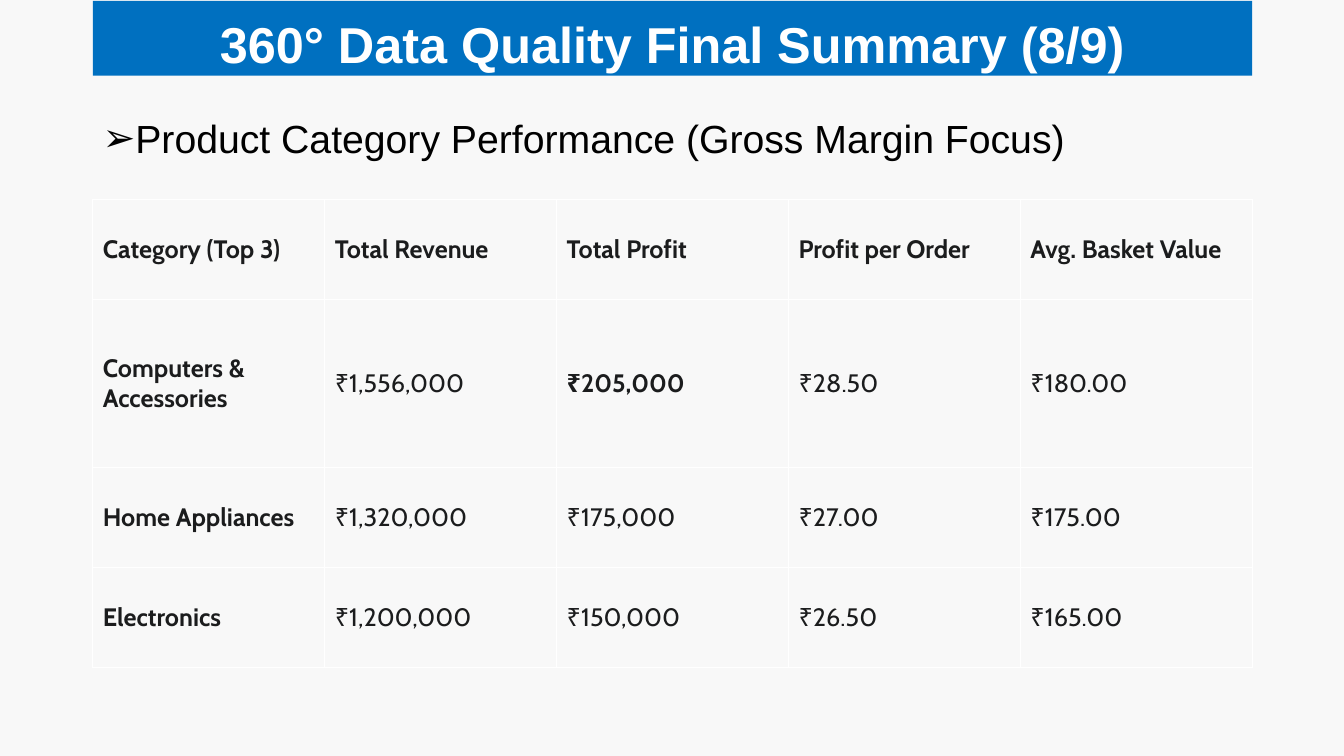
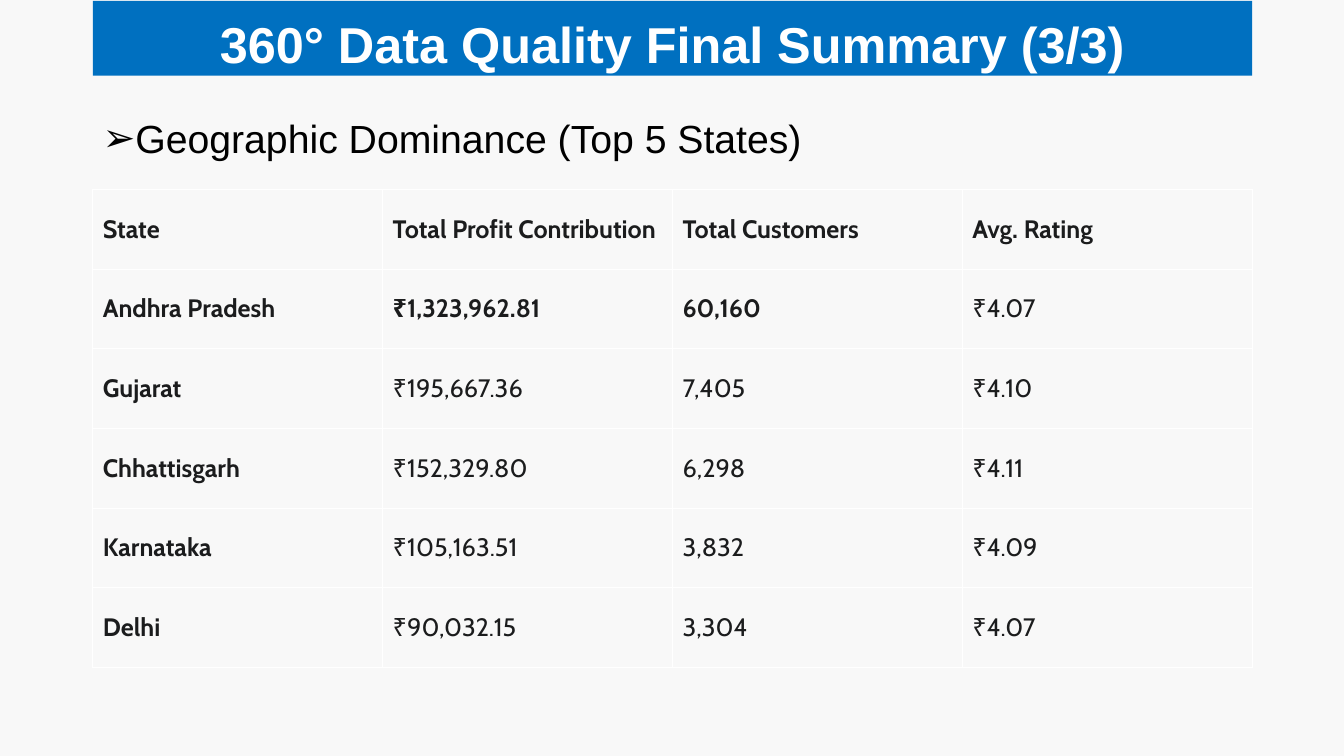
from pptx import Presentation
from pptx.dml.color import RGBColor
from pptx.enum.text import MSO_ANCHOR, MSO_AUTO_SIZE, PP_ALIGN
from pptx.oxml import parse_xml
from pptx.oxml.ns import nsdecls, qn
from pptx.util import Inches, Pt
from lxml import etree

PAPER, BLUE, WHITE, BLACK, INK = "F8F8F8", "0070C0", "FFFFFF", "000000", "1B1C1D"
LEFT, WIDTH = 0.92, 11.5

SLIDES = [
    {
        "title": "360° Data Quality Final Summary (8/9)",
        "point": "Product Category Performance (Gross Margin Focus)",
        "top": 1.98,
        "heights": [0.99, 1.67, 0.99, 0.99],
        "strong": {"₹205,000"},
        "rows": [
            ("Category (Top 3)", "Total Revenue", "Total Profit", "Profit per Order", "Avg. Basket Value"),
            ("Computers & Accessories", "₹1,556,000", "₹205,000", "₹28.50", "₹180.00"),
            ("Home Appliances", "₹1,320,000", "₹175,000", "₹27.00", "₹175.00"),
            ("Electronics", "₹1,200,000", "₹150,000", "₹26.50", "₹165.00"),
        ],
    },
    {
        "title": "360° Data Quality Final Summary (3/3)",
        "point": "Geographic Dominance (Top 5 States)",
        "top": 1.88,
        "heights": [0.79] * 6,
        "strong": {"₹1,323,962.81", "60,160"},
        "rows": [
            ("State", "Total Profit Contribution", "Total Customers", "Avg. Rating"),
            ("Andhra Pradesh", "₹1,323,962.81", "60,160", "₹4.07"),
            ("Gujarat", "₹195,667.36", "7,405", "₹4.10"),
            ("Chhattisgarh", "₹152,329.80", "6,298", "₹4.11"),
            ("Karnataka", "₹105,163.51", "3,832", "₹4.09"),
            ("Delhi", "₹90,032.15", "3,304", "₹4.07"),
        ],
    },
]


def color(code):
    return RGBColor.from_string(code)


def write(frame, text, size=18, font="Cabin", ink=INK, bold=False,
          align=PP_ALIGN.LEFT, anchor=MSO_ANCHOR.MIDDLE, bullet=None):
    frame.word_wrap = True
    frame.vertical_anchor = anchor
    para = frame.paragraphs[0]
    para.alignment = align
    if bullet:
        props = para._p.get_or_add_pPr()
        props.set("marL", str(Inches(0.31)))
        props.set("indent", str(Inches(-0.31)))
        etree.SubElement(props, qn("a:buFont")).set("typeface", "Arial")
        etree.SubElement(props, qn("a:buChar")).set("char", bullet)
    run = para.add_run()
    run.text = text
    run.font.size = Pt(size)
    run.font.name = font
    run.font.bold = bold
    run.font.color.rgb = color(ink)


def border(cell):
    props = cell._tc.get_or_add_tcPr()
    for index, side in enumerate(("lnL", "lnR", "lnT", "lnB")):
        props.insert(index, parse_xml(
            f'<a:{side} {nsdecls("a")} w="{Pt(0.6)}"><a:solidFill>'
            f'<a:srgbClr val="{WHITE}"/></a:solidFill></a:{side}>'))


def add_title(slide, text):
    title = slide.shapes.title
    title.left, title.top = Inches(LEFT), Inches(0.01)
    title.width, title.height = Inches(WIDTH), Inches(0.74)
    title.fill.solid()
    title.fill.fore_color.rgb = color(BLUE)
    frame = title.text_frame
    frame.auto_size = MSO_AUTO_SIZE.NONE
    frame.margin_top = 0
    frame.margin_bottom = Inches(0.02)
    write(frame, text, size=36, font="Arial", ink=WHITE, bold=True,
          align=PP_ALIGN.CENTER, anchor=MSO_ANCHOR.BOTTOM)


def add_point(slide, text):
    box = slide.shapes.add_textbox(Inches(LEFT), Inches(1.08), Inches(WIDTH), Inches(0.57))
    write(box.text_frame, text, size=28, font="Arial", ink=BLACK, bullet="➢")


def add_grid(slide, rows, top, heights, strong):
    count = len(rows[0])
    grid = slide.shapes.add_table(len(rows), count, Inches(LEFT), Inches(top),
                                  Inches(WIDTH), Inches(sum(heights))).table
    grid.first_row = grid.horz_banding = False
    for column in grid.columns:
        column.width = Inches(WIDTH / count)
    for r, row in enumerate(rows):
        grid.rows[r].height = Inches(heights[r])
        for c, text in enumerate(row):
            cell = grid.cell(r, c)
            cell.fill.background()
            cell.margin_left = cell.margin_right = Inches(0.1)
            cell.margin_top = cell.margin_bottom = Inches(0.07)
            cell.vertical_anchor = MSO_ANCHOR.MIDDLE
            border(cell)
            write(cell.text_frame, text, bold=r == 0 or c == 0 or text in strong)


def main():
    deck = Presentation()
    deck.slide_width, deck.slide_height = Inches(13.33), Inches(7.5)
    back = deck.slide_master.background.fill
    back.solid()
    back.fore_color.rgb = color(PAPER)
    for item in SLIDES:
        slide = deck.slides.add_slide(deck.slide_layouts[5])
        add_title(slide, item["title"])
        add_grid(slide, item["rows"], item["top"], item["heights"], item["strong"])
        add_point(slide, item["point"])
    deck.save("out.pptx")


if __name__ == "__main__":
    main()
